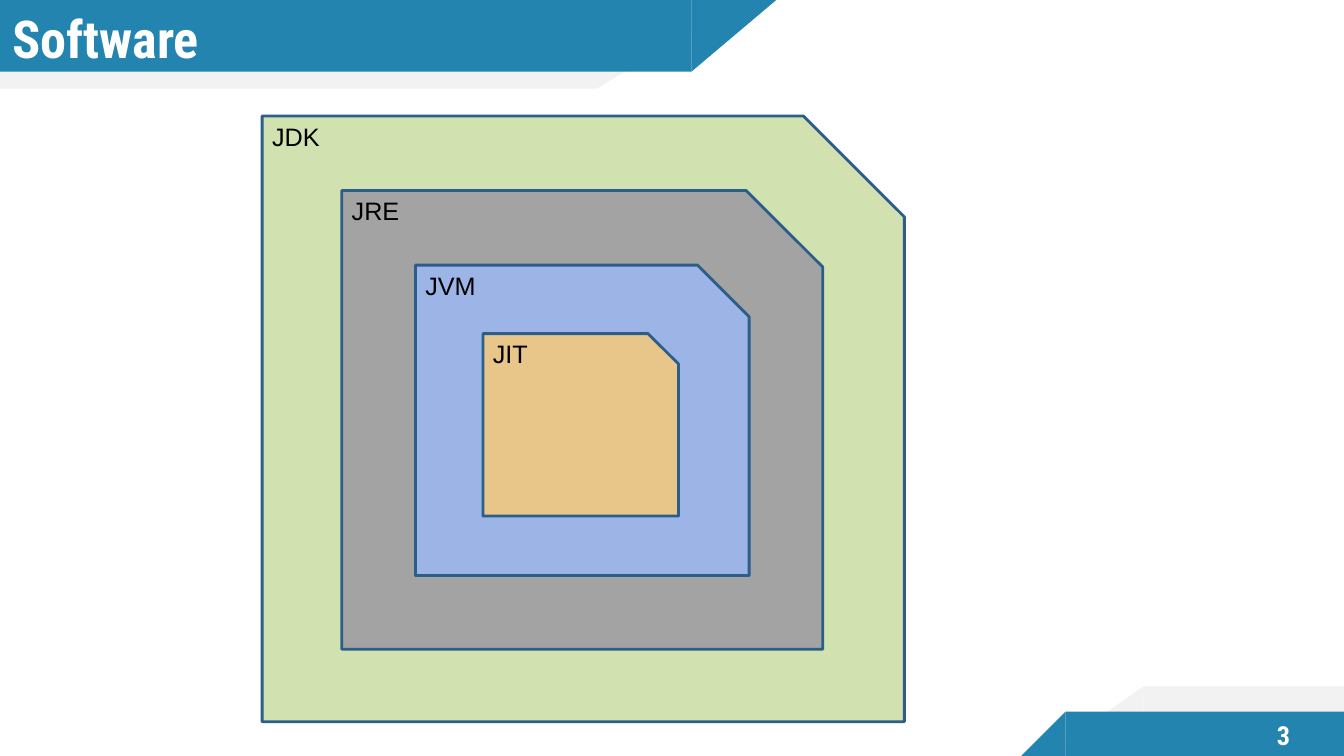
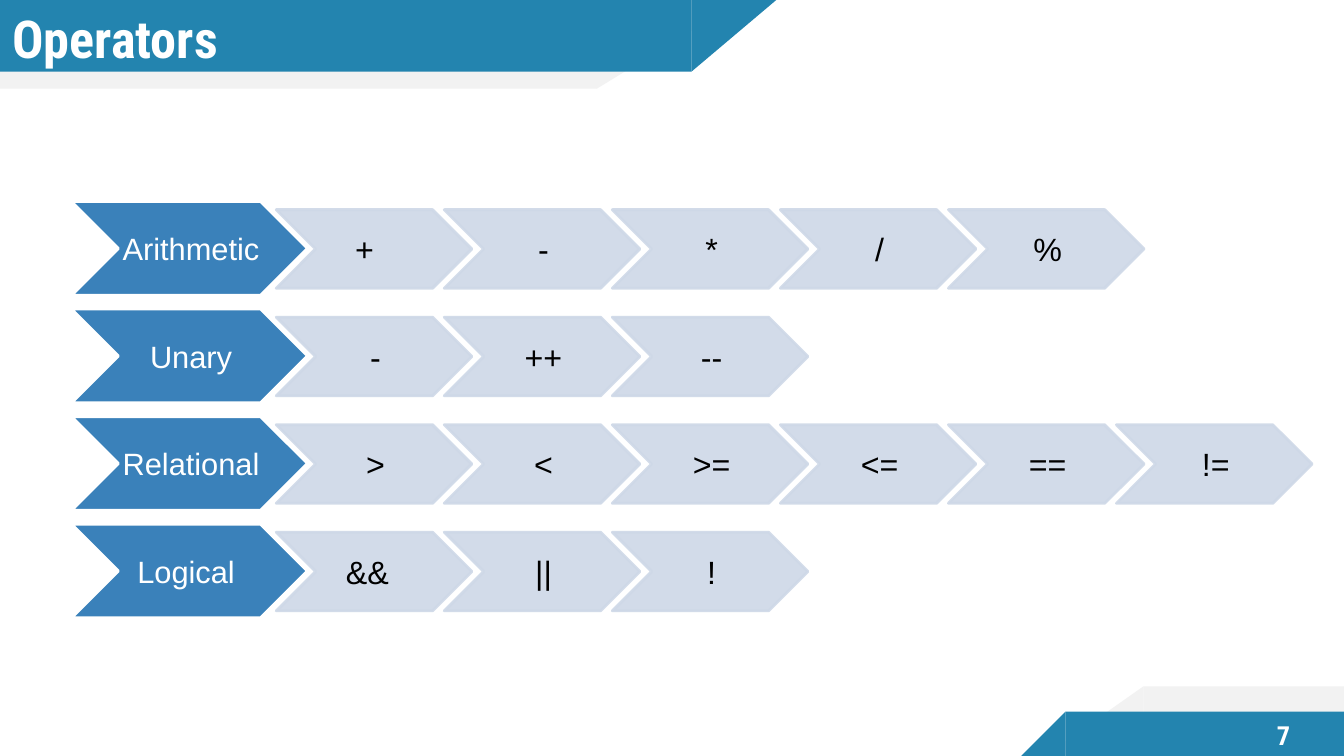
from lxml.etree import SubElement
from pptx import Presentation
from pptx.dml.color import RGBColor
from pptx.enum.shapes import MSO_SHAPE as Preset
from pptx.enum.text import MSO_ANCHOR as Anchor, PP_ALIGN as Align
from pptx.oxml.ns import qn
from pptx.util import Inches, Pt

TEAL, PALE, WHITE, BLACK = "2384AF", "F2F2F2", "FFFFFF", "000000"
NAVY, BLUE, MIST = "2B5F8A", "3A81BA", "CED8E7"
HEAD_FONT, BODY_FONT = "Roboto Condensed", "Arial"
SLIDE_WIDTH, SLIDE_HEIGHT = 13.33, 7.5

# Each band: height, length of the rectangle, length of the slanted end, colour
HEADER_BANDS = [(0.88, 5.92, 1.44, PALE), (0.71, 6.86, 0.84, TEAL)]
FOOTER_BANDS = [(0.69, 1.99, 0.98, PALE), (0.44, 2.76, 0.44, TEAL)]

# Each layer: name, box, fill
SOFTWARE_LAYERS = [
    ("JDK", (2.6, 1.15, 6.37, 6.01), "D2E1B0"),
    ("JRE", (3.39, 1.89, 4.77, 4.55), "A3A3A3"),
    ("JVM", (4.12, 2.63, 3.31, 3.08), "9DB4E7"),
    ("JIT", (4.79, 3.31, 1.94, 1.81), "E8C588"),
]
OPERATORS = {
    "Arithmetic": ["+", "-", "*", "/", "%"],
    "Unary": ["-", "++", "--"],
    "Relational": [">", "<", ">=", "<=", "==", "!="],
    "Logical": ["&&", "||", "!"],
}
# Right insets that move a text left of the middle of its chevron
RIGHT_INSETS = {"+": 0.22, "&&": 0.16, "Logical": 0.1}


def color(hex_string):
    """Turn a hex string into a colour."""
    return RGBColor.from_string(hex_string)


def set_alpha(fill_format, percent):
    """Make a solid fill partly transparent."""
    element = fill_format._xPr.find(qn("a:solidFill"))[0]
    SubElement(element, qn("a:alpha")).set("val", str(percent * 1000))


def add_preset(slide, preset, box, fill, line=None, alpha=None):
    """Add a preset shape without shadow, with an optional 2 pt line."""
    shape = slide.shapes.add_shape(preset, *map(Inches, box))
    shape.shadow.inherit = False
    shape.fill.solid()
    shape.fill.fore_color.rgb = color(fill)
    if line:
        shape.line.color.rgb = color(line)
        shape.line.width = Pt(2)
    else:
        shape.line.fill.background()
    if alpha:
        set_alpha(shape.fill, alpha)
        set_alpha(shape.line.fill, alpha)
    return shape


def write_text(shape, text, size=18, font=BODY_FONT, ink=BLACK, bold=False,
               align=Align.LEFT, anchor=Anchor.TOP, wrap=True,
               insets=(0.1, 0.05, 0.1, 0.05)):
    """Write one formatted paragraph into a shape or text box."""
    frame = shape.text_frame
    frame.word_wrap = wrap
    frame.vertical_anchor = anchor
    (frame.margin_left, frame.margin_top,
     frame.margin_right, frame.margin_bottom) = map(Inches, insets)
    paragraph = frame.paragraphs[0]
    paragraph.alignment = align
    run = paragraph.add_run()
    run.text = text
    run.font.size, run.font.name, run.font.bold = Pt(size), font, bold
    run.font.color.rgb = color(ink)


def add_text(slide, text, box, **text_format):
    """Add a text box."""
    write_text(slide.shapes.add_textbox(*map(Inches, box)), text, **text_format)


def add_band(slide, height, length, slant, fill, footer=False):
    """Add a band with a slanted end, at the top left or the bottom right."""
    if footer:
        top, left = SLIDE_HEIGHT - height, SLIDE_WIDTH - length
        slant_left, flip = left - slant, "flipH"
    else:
        top, left = 0, 0
        slant_left, flip = length, "flipV"
    add_preset(slide, Preset.RECTANGLE, (left, top, length, height), fill)
    end = add_preset(slide, Preset.RIGHT_TRIANGLE, (slant_left, top, slant, height), fill)
    end.element.spPr.find(qn("a:xfrm")).set(flip, "1")


def add_base_slide(presentation, title, number):
    """Add a slide with the shared bands, title and page number."""
    slide = presentation.slides.add_slide(presentation.slide_layouts[6])
    for band in HEADER_BANDS:
        add_band(slide, *band)
    for band in FOOTER_BANDS:
        add_band(slide, *band, footer=True)
    head_style = dict(font=HEAD_FONT, ink=WHITE, bold=True, anchor=Anchor.MIDDLE)
    add_text(slide, title, (0, 0.02, 7.36, 0.7), size=37.3,
             insets=(0.12, 0, 0, 0), **head_style)
    add_text(slide, str(number), (12.29, 7.07, 0.88, 0.45), size=18.7,
             align=Align.CENTER, insets=(0.1,) * 4, **head_style)
    return slide


def add_layers(slide, layers):
    """Add nested boxes, each named in its top left corner."""
    for name, box, fill in layers:
        add_preset(slide, Preset.SNIP_1_RECTANGLE, box, fill, line=NAVY)
        add_text(slide, name, (*box[:2], 1, 0.4))


def add_chevron(slide, text, box, fill, line, size, ink, alpha=None):
    """Add a chevron with its text in the middle."""
    chevron = add_preset(slide, Preset.CHEVRON, box, fill, line, alpha)
    write_text(chevron, text, size=size, ink=ink, align=Align.CENTER,
               anchor=Anchor.MIDDLE, wrap=False,
               insets=(0.03, 0.02, RIGHT_INSETS.get(text, 0), 0.02))


def add_operator_rows(slide, groups, left, top):
    """Add a row per group: a label chevron, then one chevron per operator."""
    row_pitch, column_pitch = 3.2 / 3, 5 / 3
    for row, (label, operators) in enumerate(groups.items()):
        row_top = top + row * row_pitch
        add_chevron(slide, label, (left, row_top, 2.34, 0.93), BLUE, WHITE, 22, WHITE)
        for column, operator in enumerate(operators):
            box = (left + 2.03 + column * column_pitch, row_top + 0.08, 1.94, 0.78)
            add_chevron(slide, operator, box, MIST, MIST, 23, BLACK, alpha=90)


def main():
    """Build and save the presentation."""
    presentation = Presentation()
    presentation.slide_width = Inches(SLIDE_WIDTH)
    presentation.slide_height = Inches(SLIDE_HEIGHT)
    add_layers(add_base_slide(presentation, "Software", 3), SOFTWARE_LAYERS)
    add_operator_rows(add_base_slide(presentation, "Operators", 7), OPERATORS, 0.71, 2)
    presentation.save("out.pptx")


main()
